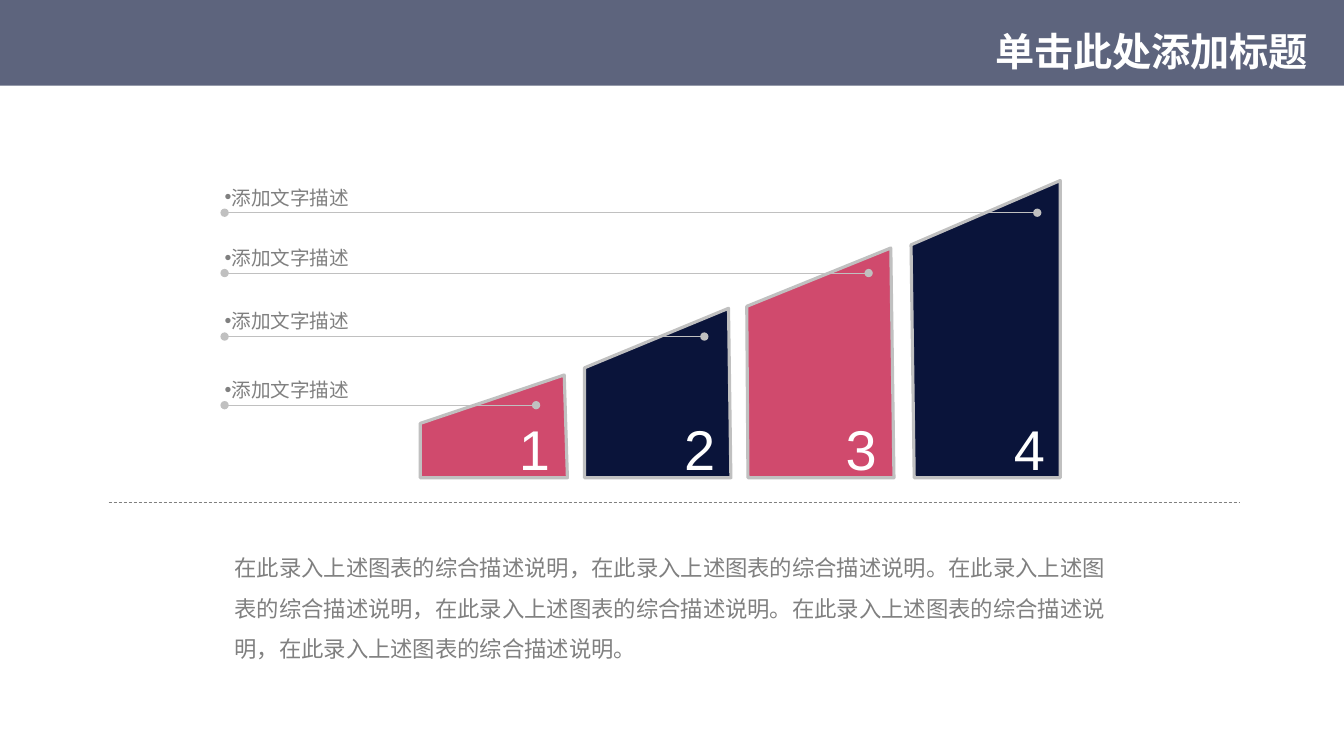
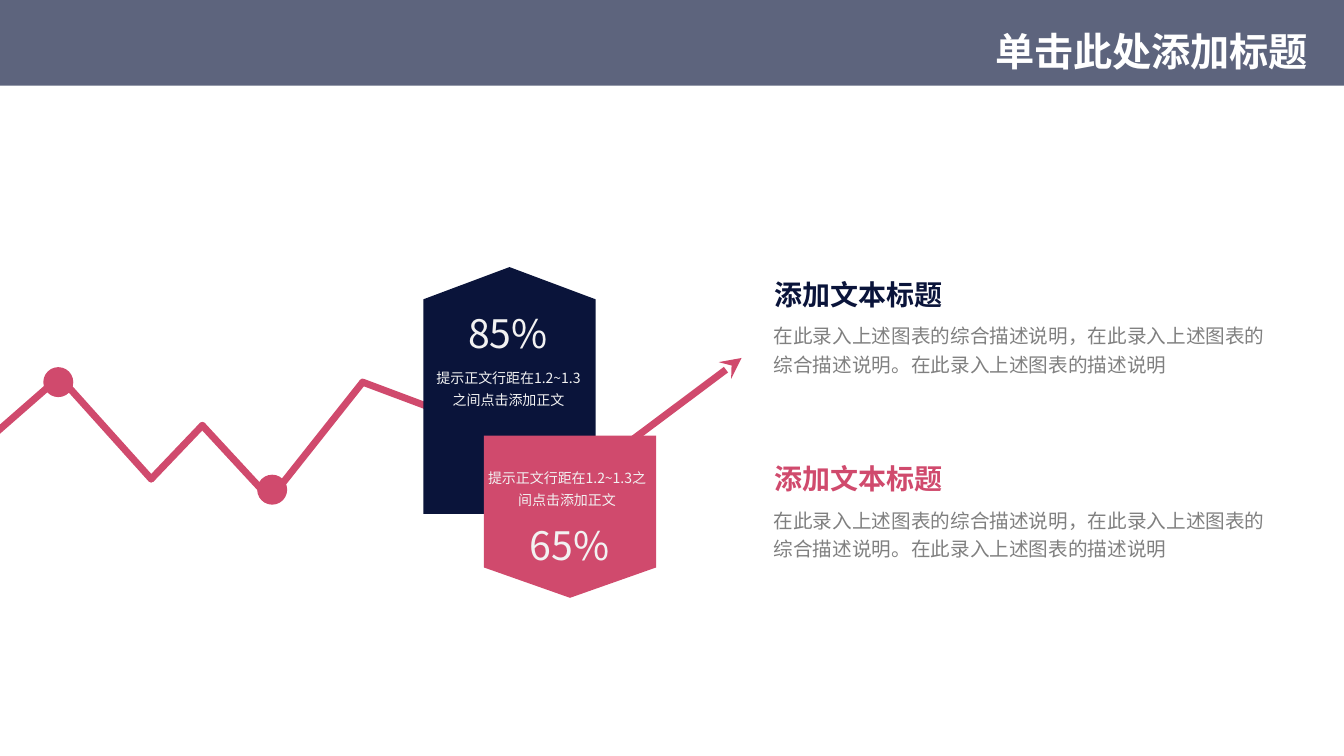
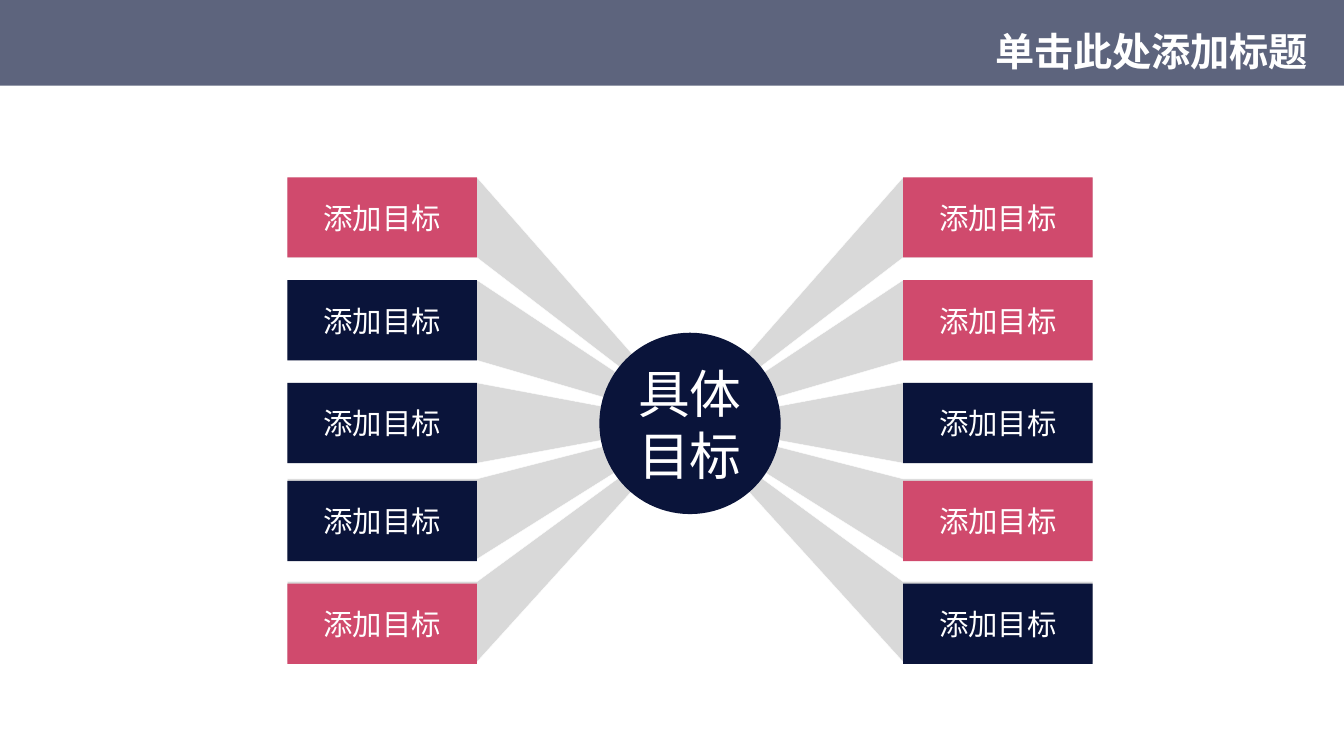
import itertools

import pptx
import pptx.util
import pptx.dml.color
import pptx.enum.dml
import pptx.enum.shapes
import pptx.enum.text
from lxml import etree
from pptx.oxml.ns import qn

Cm, Pt = pptx.util.Cm, pptx.util.Pt
RGB = pptx.dml.color.RGBColor
SHAPE = pptx.enum.shapes.MSO_SHAPE
ALIGN = pptx.enum.text.PP_ALIGN
ANCHOR = pptx.enum.text.MSO_ANCHOR

NAVY = RGB(0x0A, 0x14, 0x3A)
ROSE = RGB(0xD0, 0x4A, 0x6D)
BAND = RGB(0x5D, 0x64, 0x7D)
WHITE = RGB(0xFF, 0xFF, 0xFF)
PALE = RGB(0xF2, 0xF2, 0xF2)
RAY = RGB(0xD9, 0xD9, 0xD9)
SILVER = RGB(0xC0, 0xC0, 0xC0)
GREY = RGB(0x80, 0x80, 0x80)
CJK = "Noto Sans CJK SC"

TITLE = "单击此处添加标题"

# Slide 1, in cm: top-left, top-right, bottom-right x, bottom-left x,
# number x, leader end (x, y)
BAR_LABEL = "添加文字描述"
BASE_Y = 12.04
NUMBER_Y = 10.31
BARS = [
    ((10.59, 10.67), (14.22, 9.45), 14.30, 10.59, 12.83, (13.51, 10.21), ROSE),
    ((14.73, 9.27), (18.36, 7.77), 18.42, 14.73, 16.99, (17.75, 8.48), NAVY),
    ((18.82, 7.72), (22.45, 6.25), 22.53, 18.85, 21.06, (21.89, 6.88), ROSE),
    ((22.96, 6.17), (26.72, 4.55), 26.72, 23.04, 25.30, (26.14, 5.36), NAVY),
]
SUMMARY = "在此录入上述图表的综合描述说明，在此录入上述图表的综合描述说明。" * 3

# Slide 2, in cm
TREND = [(-0.18, 10.97), (1.5, 9.5), (3.81, 12.07), (5.1, 10.72),
         (6.81, 12.57), (9.14, 9.63), (14.96, 11.81), (18.69, 9.02)]
TREND_DOTS = [(1.47, 9.63), (6.86, 12.34)]
TAG_NOTE = "提示正文行距在1.2~1.3之间点击添加正文"
# left, top, length, rotation, colour, percentage and its place, note left, top, width
TAGS = [
    (9.73, 7.67, 6.22, 270, NAVY, "85%", (11.02, 7.67), (10.62, 9.07, 4.39)),
    (12.32, 10.85, 4.09, 90, ROSE, "65%", (12.57, 13.0), (12.04, 11.58, 4.5)),
]
TAG_WIDTH = 4.34
POINT_TITLE = "添加文本标题"
POINT_TEXT = "在此录入上述图表的综合描述说明，在此录入上述图表的综合描述说明。在此录入上述图表的描述说明"
POINTS = [(6.86, NAVY), (11.51, ROSE)]

# Slide 3, in cm
GOAL = "添加目标"
HUB = "具体目标"
GOAL_TOPS = [4.47, 7.06, 9.65, 12.12, 14.71]
RAY_LIFTS = [0, 0, 0, 0.05, 0.05]
GOAL_COLOURS = {-1: [ROSE, NAVY, NAVY, NAVY, ROSE],
                1: [ROSE, ROSE, NAVY, ROSE, NAVY]}
GOAL_W, GOAL_H = 4.78, 2.02
HUB_X, HUB_Y, HUB_SIZE = 17.39, 10.67, 4.57
INNER, OUTER, TIP = 5.37, 10.15, -0.08  # distances from the hub's centre line


def format_text(tf, size, colour, font=CJK, bold=False, align=ALIGN.LEFT, spacing=None):
    for p in tf.paragraphs:
        p.alignment = align
        if spacing:
            p.line_spacing = spacing
        for r in p.runs:
            r.font.size, r.font.bold, r.font.name = Pt(size), bold, font
            r.font.color.rgb = colour
            latin = r.font._element.find(qn("a:latin"))
            east_asian = etree.Element(qn("a:ea"), typeface=CJK)
            latin.addnext(east_asian)


def add_text(s, text, left, top, width, height, size, colour, **style):
    box = s.shapes.add_textbox(Cm(left), Cm(top), Cm(width), Cm(height))
    tf = box.text_frame
    tf.word_wrap = True
    tf.text = text
    format_text(tf, size, colour, **style)
    return tf


def paint(shape, fill, line=None, width=1):
    shape.shadow.inherit = False
    shape.fill.solid()
    shape.fill.fore_color.rgb = fill
    if line is None:
        shape.line.fill.background()
    else:
        shape.line.color.rgb = line
        shape.line.width = Pt(width)
    return shape


def add_box(s, kind, left, top, width, height, fill, line=None):
    shape = s.shapes.add_shape(kind, Cm(left), Cm(top), Cm(width), Cm(height))
    return paint(shape, fill, line)


def add_polygon(s, points, fill, line, width):
    first, *rest = [(Cm(x), Cm(y)) for x, y in points]
    builder = s.shapes.build_freeform(*first, scale=1.0)
    builder.add_line_segments(rest, close=True)
    return paint(builder.convert_to_shape(), fill, line, width)


def add_line(s, start, end, colour, width, head=None, tail=None, cap="flat", dash=None):
    line = s.shapes.add_connector(
        pptx.enum.shapes.MSO_CONNECTOR.STRAIGHT, *map(Cm, start + end))
    line.line.color.rgb = colour
    line.line.width = Pt(width)
    if dash:
        line.line.dash_style = dash
    ln = line.line._get_or_add_ln()
    ln.set("cap", cap)
    for tag, mark in (("a:headEnd", head), ("a:tailEnd", tail)):
        if mark:
            etree.SubElement(ln, qn(tag), type=mark)
    etree.SubElement(line._element.spPr, qn("a:effectLst"))


def add_bullet(p):
    pPr = p._p.get_or_add_pPr()
    pPr.set("marL", "0")
    pPr.set("indent", "0")
    etree.SubElement(pPr, qn("a:buFont"), typeface="Arial")
    etree.SubElement(pPr, qn("a:buChar"), char="•")


def set_up_layout(prs):
    """Give the title-only layout its title position."""
    layout = prs.slide_layouts[5]
    title = layout.placeholders[0]
    title.left, title.top, title.width, title.height = map(Cm, (4.01, 0.56, 29.21, 1.6))
    title.text_frame.vertical_anchor = ANCHOR.MIDDLE
    title.text_frame.auto_size = pptx.enum.text.MSO_AUTO_SIZE.NONE
    return layout


def add_slide(prs, layout):
    s = prs.slides.add_slide(layout)
    s.shapes.title.text_frame.text = TITLE
    format_text(s.shapes.title.text_frame, 28, WHITE, font="Montserrat", bold=True,
                align=ALIGN.RIGHT, spacing=0.9)
    return s


def move_band_to_layout(s, layout):
    band = add_box(s, SHAPE.RECTANGLE, 0, 0, 33.87, 2.16, BAND)
    layout.shapes._spTree.insert(2, band._element)


def build_bars(s):
    for number, (top_left, top_right, right, left, number_x, _, colour) in enumerate(BARS, 1):
        outline = [top_left, top_right, (right, BASE_Y), (left, BASE_Y)]
        add_polygon(s, outline, colour, SILVER, 2.25)
        add_text(s, str(number), number_x, NUMBER_Y, 1.4, 1.96, 40, WHITE, font="Arial")
    for *_, (x, y), _ in BARS:
        add_line(s, (x, y), (5.66, y), SILVER, 0.75, head="oval", tail="oval")
        tf = add_text(s, BAR_LABEL, 5.41, y - 0.93, 7.52, 0.97, 14, GREY,
                      font="Arial", spacing=1.2)
        add_bullet(tf.paragraphs[0])
    add_text(s, SUMMARY, 5.66, 13.51, 22.89, 3.33, 16, GREY, font="Arial", spacing=1.5)
    add_line(s, (2.74, 12.67), (31.24, 12.67), GREY, 0.5,
             dash=pptx.enum.dml.MSO_LINE.DASH)


def build_trend(s):
    for start, end in itertools.pairwise(TREND):
        tail = "stealth" if end == TREND[-1] else None
        add_line(s, start, end, ROSE, 5, tail=tail, cap="flat" if tail else "rnd")
    for x, y in TREND_DOTS:
        add_box(s, SHAPE.OVAL, x - 0.36, y - 0.36, 0.72, 0.72, ROSE, ROSE)
    for left, top, length, rotation, colour, percent, place, note in TAGS:
        tag = add_box(s, SHAPE.PENTAGON, left, top, length, TAG_WIDTH, colour)
        tag.rotation = rotation
        tag.adjustments[0] = 0.187
        add_text(s, percent, *place, 3.56, 1.45, 28, PALE, align=ALIGN.CENTER)
        add_text(s, TAG_NOTE, *note, 1.37, 10, PALE, align=ALIGN.CENTER, spacing=1.3)
    for top, colour in POINTS:
        add_text(s, POINT_TITLE, 19.27, top, 5.33, 1.12, 20, colour, bold=True)
        add_text(s, POINT_TEXT, 19.25, top + 1.07, 13.36, 1.7, 14, GREY,
                 font="Arial", spacing=1.2)


def build_goals(s):
    for side, colours in GOAL_COLOURS.items():
        tip, inner, outer = (HUB_X + side * d for d in (TIP, INNER, OUTER))
        for top, lift in zip(GOAL_TOPS, RAY_LIFTS):
            upper, lower = top - lift, top - lift + GOAL_H
            add_polygon(s, [(tip, HUB_Y), (inner, upper), (outer, upper),
                            (outer, lower), (inner, lower)], RAY, WHITE, 0.25)
        for top, colour in zip(GOAL_TOPS, colours):
            goal = add_box(s, SHAPE.RECTANGLE, min(inner, outer), top, GOAL_W, GOAL_H, colour)
            tf = goal.text_frame
            tf.text = GOAL
            tf.word_wrap = False
            tf.vertical_anchor = ANCHOR.MIDDLE
            format_text(tf, 21, WHITE, align=ALIGN.CENTER)
    hub = add_box(s, SHAPE.OVAL, HUB_X - HUB_SIZE / 2, HUB_Y - HUB_SIZE / 2,
                  HUB_SIZE, HUB_SIZE, NAVY)
    tf = hub.text_frame
    tf.text = HUB
    tf.word_wrap = True
    tf.vertical_anchor = ANCHOR.MIDDLE
    tf.margin_left = tf.margin_right = tf.margin_top = tf.margin_bottom = 0
    format_text(tf, 37, WHITE, align=ALIGN.CENTER)


def main():
    prs = pptx.Presentation()
    prs.slide_width, prs.slide_height = Cm(33.87), Cm(19.05)
    layout = set_up_layout(prs)
    slides = [add_slide(prs, layout) for _ in range(3)]
    move_band_to_layout(slides[0], layout)
    for build, s in zip((build_bars, build_trend, build_goals), slides):
        build(s)
    prs.save("out.pptx")


if __name__ == "__main__":
    main()
